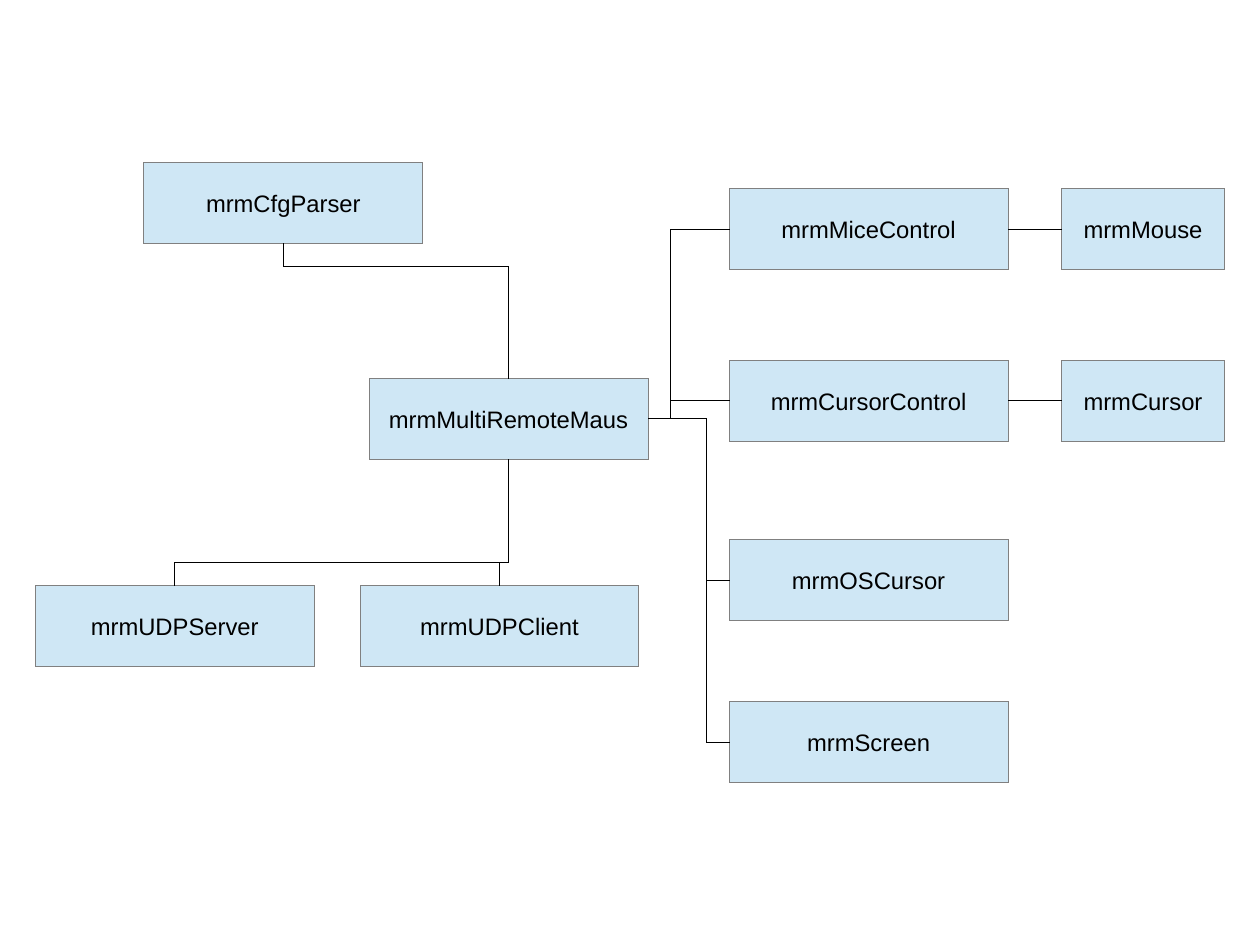
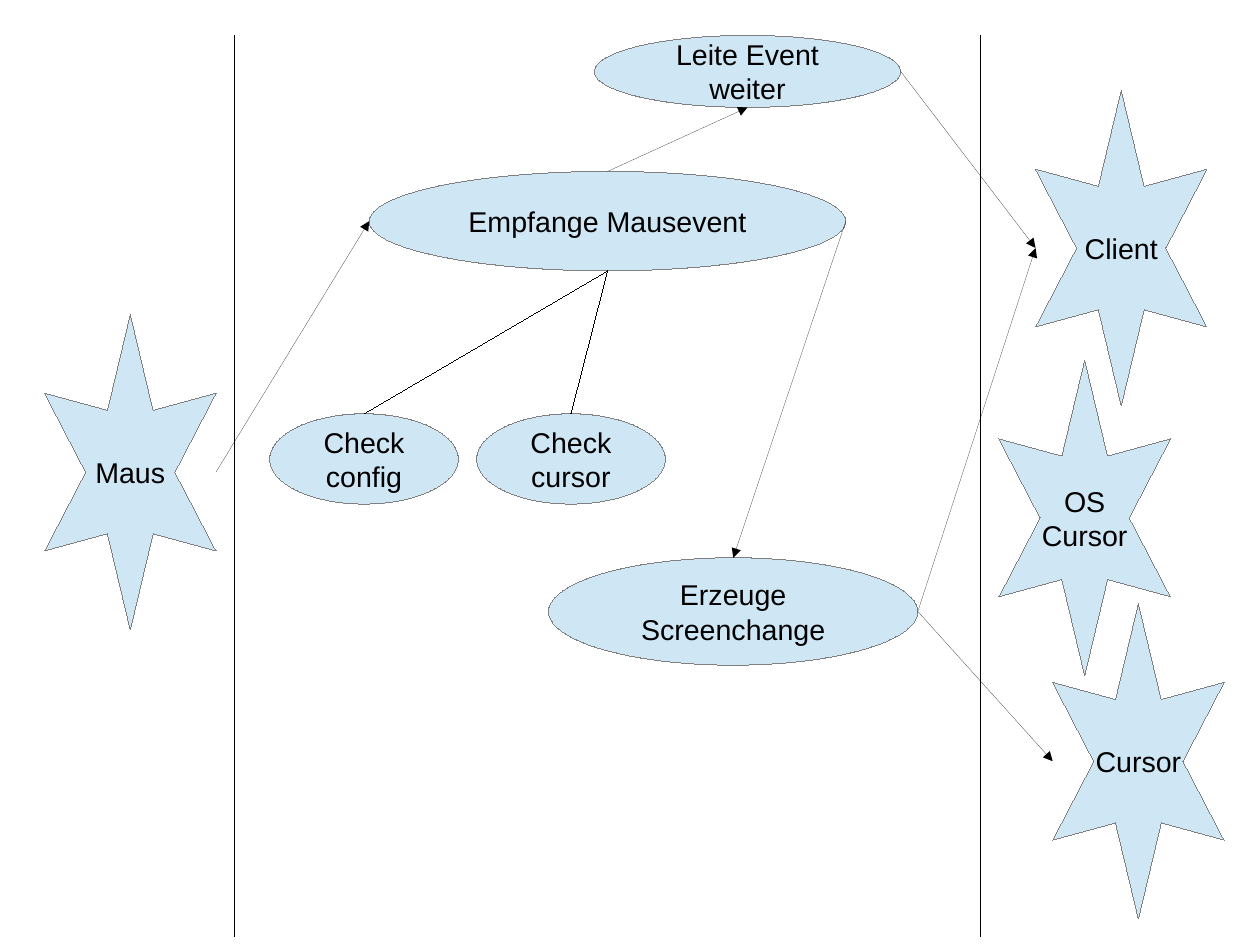
from dataclasses import dataclass
from enum import IntEnum

from lxml.etree import SubElement
from pptx import Presentation
from pptx.dml.color import RGBColor
from pptx.enum.shapes import MSO_CONNECTOR, MSO_SHAPE
from pptx.enum.text import MSO_ANCHOR, PP_ALIGN
from pptx.oxml.ns import qn
from pptx.shapes.autoshape import Shape
from pptx.shapes.connector import Connector
from pptx.slide import Slide
from pptx.util import Inches, Pt

FILL, OUTLINE, INK = "CFE7F5", "808080", "000000"
FONT = "Arial"
STUB = Inches(0.2)
CM_PER_INCH = 2.54

BOX_WIDTH, SMALL_BOX_WIDTH, BOX_HEIGHT = 2.44, 1.42, 0.71
CONTROL_LEFT, DETAIL_LEFT = 6.38, 9.29
MICE_TOP, CURSOR_TOP, UDP_TOP = 1.65, 3.15, 5.12

STAR_WIDTH, STAR_HEIGHT = 1.5, 2.76
STAR_QUARTER = [(0.75, 0), (0.95, 0.84), (1.5, 0.69), (1.14, 1.38)]


class Side(IntEnum):
    TOP = 0
    LEFT = 1
    BOTTOM = 2
    RIGHT = 3


@dataclass(frozen=True)
class Node:
    text: str
    left: float
    top: float
    width: float = BOX_WIDTH
    height: float = BOX_HEIGHT


@dataclass(frozen=True)
class Link:
    start: str
    start_side: Side
    end: str
    end_side: Side
    arrow: bool = True


MAIN = "mrmMultiRemoteMaus"
CLASSES = [
    Node(MAIN, 3.23, 3.31),
    Node("mrmCfgParser", 1.26, 1.42),
    Node("mrmMiceControl", CONTROL_LEFT, MICE_TOP),
    Node("mrmCursorControl", CONTROL_LEFT, CURSOR_TOP),
    Node("mrmOSCursor", CONTROL_LEFT, 4.72),
    Node("mrmUDPServer", 0.31, UDP_TOP),
    Node("mrmUDPClient", 3.15, UDP_TOP),
    Node("mrmScreen", CONTROL_LEFT, 6.14),
    Node("mrmMouse", DETAIL_LEFT, MICE_TOP, SMALL_BOX_WIDTH),
    Node("mrmCursor", DETAIL_LEFT, CURSOR_TOP, SMALL_BOX_WIDTH),
]
BENT_LINKS = [
    Link("mrmCfgParser", Side.BOTTOM, MAIN, Side.TOP),
    Link("mrmUDPServer", Side.TOP, MAIN, Side.BOTTOM),
    Link("mrmUDPClient", Side.TOP, MAIN, Side.BOTTOM),
    Link("mrmScreen", Side.LEFT, MAIN, Side.RIGHT),
    Link("mrmOSCursor", Side.LEFT, MAIN, Side.RIGHT),
    Link(MAIN, Side.RIGHT, "mrmCursorControl", Side.LEFT),
    Link(MAIN, Side.RIGHT, "mrmMiceControl", Side.LEFT),
]
DETAIL_LINKS = [("mrmCursorControl", "mrmCursor"), ("mrmMiceControl", "mrmMouse")]

STARS = [
    Node("Maus", 0.39, 2.75, STAR_WIDTH, STAR_HEIGHT),
    Node("Client", 9.06, 0.79, STAR_WIDTH, STAR_HEIGHT),
    Node("Cursor", 9.21, 5.28, STAR_WIDTH, STAR_HEIGHT),
    Node("OS\nCursor", 8.74, 3.15, STAR_WIDTH, STAR_HEIGHT),
]
RECEIVE, FORWARD, CREATE = "Empfange Mausevent", "Leite Event weiter", "Erzeuge Screenchange"
STEPS = [
    Node(RECEIVE, 3.23, 1.5, 4.17, 0.87),
    Node("Check config", 2.36, 3.62, 1.65, 0.79),
    Node("Check cursor", 4.17, 3.62, 1.65, 0.79),
    Node(FORWARD, 5.2, 0.31, 2.68, 0.63),
    Node(CREATE, 4.8, 4.88, 3.23, 0.94),
]
EVENT_LINKS = [
    Link("Maus", Side.RIGHT, RECEIVE, Side.LEFT),
    Link("Check config", Side.TOP, RECEIVE, Side.BOTTOM, arrow=False),
    Link("Check cursor", Side.TOP, RECEIVE, Side.BOTTOM, arrow=False),
    Link(RECEIVE, Side.TOP, FORWARD, Side.BOTTOM),
    Link(FORWARD, Side.RIGHT, "Client", Side.LEFT),
    Link(RECEIVE, Side.RIGHT, CREATE, Side.TOP),
    Link(CREATE, Side.RIGHT, "Cursor", Side.LEFT),
    Link(CREATE, Side.RIGHT, "Client", Side.LEFT),
]
SEPARATORS = [2.05, 8.58]


def color(value: str) -> RGBColor:
    return RGBColor.from_string(value)


def write_text(shape: Shape, text: str, *, size: float, wrap: bool = True) -> None:
    frame = shape.text_frame
    frame.text = text
    frame.word_wrap = wrap
    frame.vertical_anchor = MSO_ANCHOR.MIDDLE
    for paragraph in frame.paragraphs:
        paragraph.alignment = PP_ALIGN.CENTER
        for run in paragraph.runs:
            run.font.name = FONT
            run.font.size = Pt(size)
            run.font.color.rgb = color(INK)


def set_hairline(shape: Shape | Connector, value: str) -> None:
    """Colour the line and write its zero width, which python-pptx would leave out."""
    shape.line.color.rgb = color(value)
    shape.element.spPr.find(qn("a:ln")).set("w", "0")


def style_shape(shape: Shape) -> None:
    shape.shadow.inherit = False
    shape.fill.solid()
    shape.fill.fore_color.rgb = color(FILL)
    set_hairline(shape, OUTLINE)


def add_node(slide: Slide, node: Node, kind: MSO_SHAPE, size: float) -> Shape:
    shape = slide.shapes.add_shape(
        kind, Inches(node.left), Inches(node.top), Inches(node.width), Inches(node.height)
    )
    style_shape(shape)
    write_text(shape, node.text, size=size)
    return shape


def add_star(slide: Slide, node: Node) -> Shape:
    """Draw a six-pointed star by turning its upper right quarter around the centre."""
    right = STAR_QUARTER + [(x, STAR_HEIGHT - y) for x, y in STAR_QUARTER[-2::-1]]
    left = [(STAR_WIDTH - x, y) for x, y in right[-2:0:-1]]
    points = [(Inches(node.left + x), Inches(node.top + y)) for x, y in right + left]
    builder = slide.shapes.build_freeform(*points[0])
    builder.add_line_segments(points[1:], close=True)
    shape = builder.convert_to_shape()
    style_shape(shape)
    write_text(shape, node.text, size=18, wrap=False)
    return shape


def side_point(shape: Shape, side: Side) -> tuple[int, int]:
    across = {Side.LEFT: 0, Side.RIGHT: shape.width}.get(side, shape.width // 2)
    down = {Side.TOP: 0, Side.BOTTOM: shape.height}.get(side, shape.height // 2)
    return shape.left + across, shape.top + down


def add_line(
    slide: Slide,
    start: tuple[int, int],
    end: tuple[int, int],
    *,
    kind: MSO_CONNECTOR = MSO_CONNECTOR.STRAIGHT,
    arrow: bool = False,
) -> Connector:
    connector = slide.shapes.add_connector(kind, *start, *end)
    set_hairline(connector, INK)
    properties = connector.element.spPr
    if arrow:
        SubElement(properties.find(qn("a:ln")), qn("a:tailEnd"), type="triangle")
    SubElement(properties, qn("a:effectLst"))
    return connector


def add_bent_link(slide: Slide, shapes: dict[str, Shape], link: Link) -> None:
    """Join two boxes with an elbow that turns one stub away from its start."""
    first, last = shapes[link.start], shapes[link.end]
    start, end = side_point(first, link.start_side), side_point(last, link.end_side)
    connector = add_line(slide, start, end, kind=MSO_CONNECTOR.ELBOW)
    connector.begin_connect(first, link.start_side)
    connector.end_connect(last, link.end_side)
    across, down = end[0] - start[0], end[1] - start[1]
    properties = connector.element.spPr
    length = abs(across)
    if link.start_side in (Side.TOP, Side.BOTTOM):
        length = abs(down)
        transform = properties.find(qn("a:xfrm"))
        for flip in ("flipH", "flipV"):
            transform.attrib.pop(flip, None)
        connector.left = (start[0] + end[0] - abs(down)) // 2
        connector.top = (start[1] + end[1] - abs(across)) // 2
        connector.width, connector.height = abs(down), abs(across)
        transform.set("rot", str((90 if down > 0 else 270) * 60000))
        if (across > 0) == (down > 0):
            transform.set("flipV", "1")
    adjustments = properties.find(qn("a:prstGeom")).find(qn("a:avLst"))
    turn = round(STUB / length * 100000)
    SubElement(adjustments, qn("a:gd"), name="adj1", fmla=f"val {turn}")


def build_class_slide(slide: Slide) -> None:
    shapes = {node.text: add_node(slide, node, MSO_SHAPE.RECTANGLE, 15) for node in CLASSES}
    for link in BENT_LINKS:
        add_bent_link(slide, shapes, link)
    for control, detail in DETAIL_LINKS:
        first, last = shapes[control], shapes[detail]
        connector = add_line(
            slide, side_point(first, Side.RIGHT), side_point(last, Side.LEFT)
        )
        connector.begin_connect(first, Side.RIGHT)
        connector.end_connect(last, Side.LEFT)


def build_event_slide(slide: Slide) -> None:
    shapes = {node.text: add_star(slide, node) for node in STARS}
    for x in SEPARATORS:
        add_line(slide, (Inches(x), Inches(8.19)), (Inches(x), Inches(0.31)))
    shapes |= {node.text: add_node(slide, node, MSO_SHAPE.OVAL, 18) for node in STEPS}
    for link in EVENT_LINKS:
        add_line(
            slide,
            side_point(shapes[link.start], link.start_side),
            side_point(shapes[link.end], link.end_side),
            arrow=link.arrow,
        )


def main() -> None:
    presentation = Presentation()
    presentation.slide_width = Inches(28 / CM_PER_INCH)
    presentation.slide_height = Inches(21 / CM_PER_INCH)
    blank = presentation.slide_layouts[6]
    for build in (build_class_slide, build_event_slide):
        build(presentation.slides.add_slide(blank))
    presentation.save("out.pptx")


if __name__ == "__main__":
    main()
